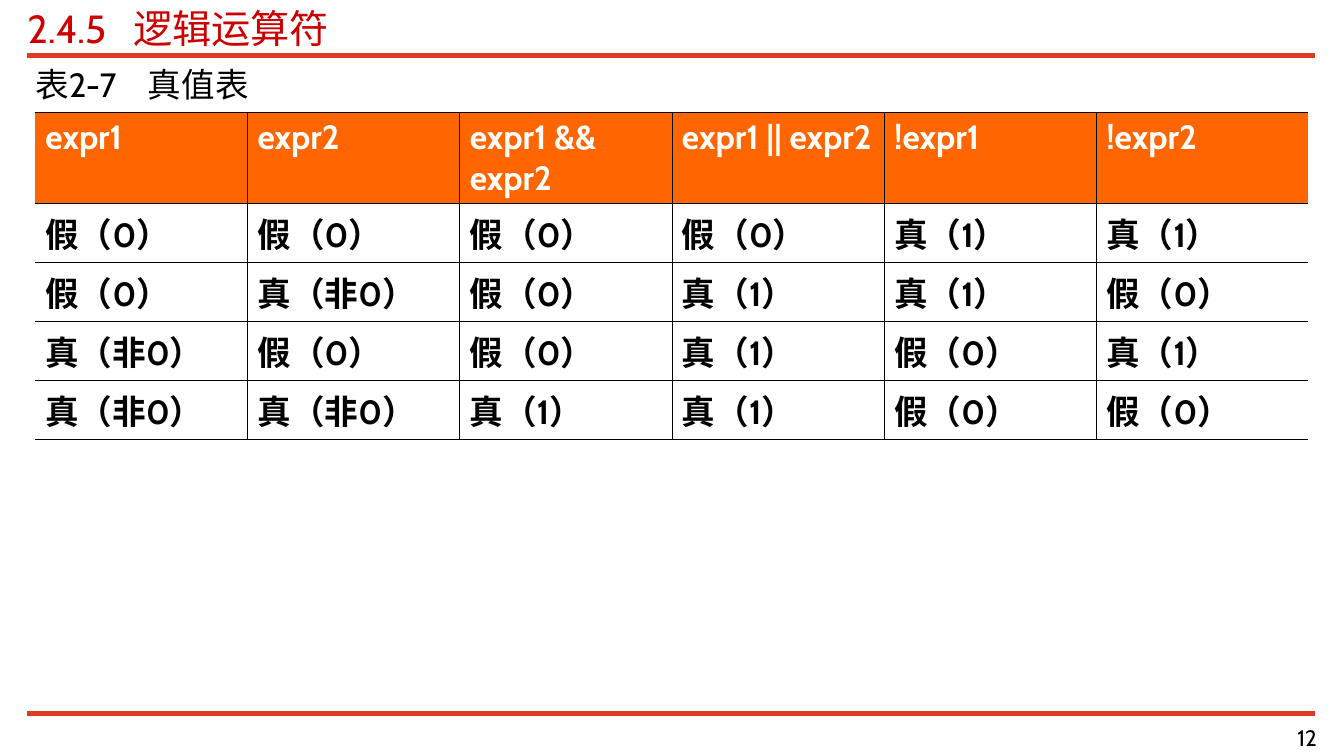
from dataclasses import dataclass

from lxml import etree
from pptx import Presentation
from pptx.dml.color import RGBColor
from pptx.enum.shapes import MSO_CONNECTOR
from pptx.enum.text import MSO_ANCHOR, MSO_AUTO_SIZE, PP_ALIGN
from pptx.oxml.ns import qn
from pptx.util import Cm, Pt

STRAIGHT = MSO_CONNECTOR.STRAIGHT
MIDDLE = MSO_ANCHOR.MIDDLE
LEFT, RIGHT = PP_ALIGN.LEFT, PP_ALIGN.RIGHT
NO_AUTOFIT = MSO_AUTO_SIZE.NONE
TITLE_ONLY = 5


@dataclass(frozen=True)
class Theme:
    font: str = "Cabin"
    title: str = "CC0000"
    rule: str = "E13A23"
    header: str = "FF6600"
    ink: str = "000000"
    paper: str = "FFFFFF"
    title_size: int = 28
    text_size: int = 24
    number_size: int = 16
    outer_border: float = 0.62
    inner_border: float = 0.45


THEME = Theme()

FALSE, TRUE, NONZERO = "假（0）", "真（1）", "真（非0）"
TRUTH_TABLE = [
    ["expr1", "expr2", "expr1 && expr2", "expr1 || expr2", "!expr1", "!expr2"],
    [FALSE, FALSE, FALSE, FALSE, TRUE, TRUE],
    [FALSE, NONZERO, FALSE, TRUE, TRUE, FALSE],
    [NONZERO, FALSE, FALSE, TRUE, FALSE, TRUE],
    [NONZERO, NONZERO, TRUE, TRUE, FALSE, FALSE],
]


def set_attributes(target, values):
    for name, value in values.items():
        setattr(target, name, value)


def write(frame, text, size, color, bold=False, align=LEFT, tab=None):
    """Fill a frame with one paragraph; tab is the stop, in cm, for a tab in the text."""
    frame.text = text
    para = frame.paragraphs[0]
    para.alignment = align
    if tab:
        stops = etree.SubElement(para._p.get_or_add_pPr(), qn("a:tabLst"))
        etree.SubElement(stops, qn("a:tab"), pos=str(Cm(tab)), algn="l")
    for span in para.runs:
        set_attributes(span.font, {"name": THEME.font, "size": Pt(size), "bold": bold})
        span.font.color.rgb = RGBColor.from_string(color)


def place(box, left, top, width, height):
    set_attributes(box, {"left": Cm(left), "top": Cm(top),
                         "width": Cm(width), "height": Cm(height)})
    set_attributes(box.text_frame, {
        "margin_left": 0, "margin_right": 0, "margin_top": 0, "margin_bottom": 0,
        "word_wrap": True, "auto_size": NO_AUTOFIT, "vertical_anchor": MIDDLE,
    })
    return box.text_frame


def add_rule(page, top, weight):
    rule = page.shapes.add_connector(STRAIGHT, Cm(0.69), Cm(top), Cm(33.15), Cm(top))
    rule.line.color.rgb = RGBColor.from_string(THEME.rule)
    rule.line.width = Pt(weight)
    etree.SubElement(rule._element.spPr, qn("a:effectLst"))


def add_text(page, text, area, size, **layout):
    box = page.shapes.add_textbox(0, 0, 0, 0)
    write(place(box, *area), text, size, THEME.ink, **layout)


def set_borders(cell, weights):
    """Draw the four cell edges; a weight of None hides the edge."""
    properties = cell._tc.get_or_add_tcPr()
    for side, weight in weights.items():
        edge = etree.SubElement(properties, qn(f"a:ln{side}"), w=str(Pt(weight or 0)))
        if weight is None:
            etree.SubElement(edge, qn("a:noFill"))
        else:
            fill = etree.SubElement(edge, qn("a:solidFill"))
            etree.SubElement(fill, qn("a:srgbClr"), val=THEME.ink)


def add_truth_table(page, rows):
    last_row, last_column = len(rows) - 1, len(rows[0]) - 1
    table = page.shapes.add_table(len(rows), len(rows[0]), Cm(0.89), Cm(2.82),
                                  Cm(32.1), Cm(7.37)).table
    set_attributes(table, {"first_row": False, "horz_banding": False})
    for column in table.columns:
        column.width = Cm(5.35)
    outer, inner = THEME.outer_border, THEME.inner_border
    for r, values in enumerate(rows):
        is_header = r == 0
        table.rows[r].height = Cm(2.29 if is_header else 1.27)
        for c, value in enumerate(values):
            cell = table.cell(r, c)
            set_borders(cell, {
                "L": inner if c > 0 else None,
                "R": inner if c < last_column else None,
                "T": outer if r <= 1 else inner,
                "B": outer if r in (0, last_row) else inner,
            })
            if is_header:
                cell.fill.solid()
                cell.fill.fore_color.rgb = RGBColor.from_string(THEME.header)
            else:
                cell.fill.background()
            color = THEME.paper if is_header else THEME.ink
            write(cell.text_frame, value, THEME.text_size, color, bold=True)


def main():
    deck = Presentation()
    set_attributes(deck, {"slide_width": Cm(33.88), "slide_height": Cm(19.05)})
    page = deck.slides.add_slide(deck.slide_layouts[TITLE_ONLY])
    add_rule(page, 1.4, 4)
    add_rule(page, 17.98, 3)
    title = place(page.shapes.title, 0.69, 0.1, 32.46, 1.19)
    write(title, "2.4.5\t逻辑运算符", THEME.title_size, THEME.title, tab=2.67)
    add_text(page, "表2-7\t真值表", (0.89, 1.6, 32.1, 1.02), THEME.text_size, tab=2.84)
    add_truth_table(page, TRUTH_TABLE)
    add_text(page, "12", (26.39, 18.19, 6.81, 0.79), THEME.number_size, align=RIGHT)
    deck.save("out.pptx")


if __name__ == "__main__":
    main()
